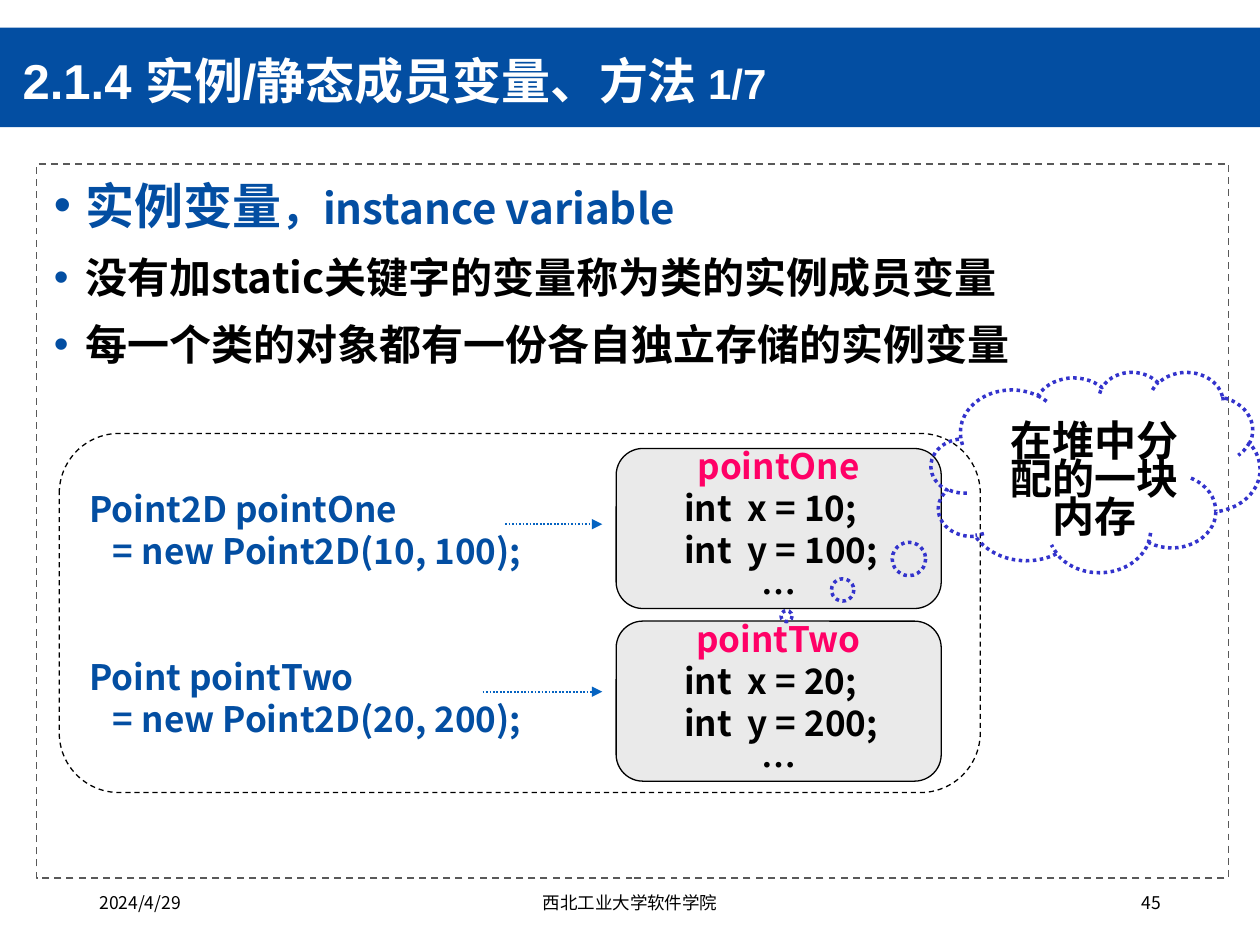
from lxml import etree
from pptx import Presentation
from pptx.dml.color import RGBColor
from pptx.enum.dml import MSO_LINE
from pptx.enum.shapes import MSO_CONNECTOR, MSO_SHAPE
from pptx.enum.text import MSO_ANCHOR, PP_ALIGN
from pptx.oxml.ns import qn
from pptx.util import Inches, Pt

LEFT, CENTER, RIGHT = PP_ALIGN.LEFT, PP_ALIGN.CENTER, PP_ALIGN.RIGHT
TOP, MIDDLE = MSO_ANCHOR.TOP, MSO_ANCHOR.MIDDLE
DASH, DOTS = MSO_LINE.DASH, MSO_LINE.ROUND_DOT
RECTANGLE, CLOUD = MSO_SHAPE.RECTANGLE, MSO_SHAPE.CLOUD_CALLOUT
ROUNDED = MSO_SHAPE.FLOWCHART_ALTERNATE_PROCESS
STRAIGHT = MSO_CONNECTOR.STRAIGHT

FONT = "Noto Sans CJK SC"
BLUE, BLACK, PINK, WHITE = "034EA2", "000000", "FF0066", "FFFFFF"

TITLE = [("2.1.4 实例/静态成员变量、方法 ", 28), ("1/7", 24)]
BULLETS = [
    ([("实例变量", 28), ("，instance variable", 24)], BLUE, 34),
    ([("没有加static关键字的变量称为类的实例成员变量", 24)], BLACK, 28.5),
    ([("每一个类的对象都有一份各自独立存储的实例变量", 24)], BLACK, 28.5),
]
STATEMENTS = [
    ("Point2D pointOne", "   = new Point2D(10, 100);"),
    ("Point pointTwo", "   = new Point2D(20, 200);"),
]
OBJECTS = [("pointOne", 10, 100), ("pointTwo", 20, 200)]
ARROWS = [(4.01, 4.16), (3.83, 5.49)]
ARROW_END = 4.78
CLOUD_TEXT = "在堆中分配的一块内存"
FOOTERS = [
    ("2024/4/29", 0.69, 2.25, LEFT),
    ("西北工业大学软件学院", 3.31, 3.38, CENTER),
    ("45", 7.06, 2.25, RIGHT),
]


def color(value):
    return RGBColor.from_string(value)


def set_line(line, value, width, dash=None):
    line.color.rgb = color(value)
    line.width = Pt(width)
    if dash:
        line.dash_style = dash


def add_box(page, kind, place, fill=None, line=None):
    box = page.shapes.add_shape(kind, *map(Inches, place))
    box.shadow.inherit = False
    if fill:
        box.fill.solid()
        box.fill.fore_color.rgb = color(fill)
    else:
        box.fill.background()
    if line:
        set_line(box.line, *line)
    else:
        box.line.fill.background()
    return box


def set_frame(box, anchor=TOP, insets=(0.1, 0.05, 0.1, 0.05)):
    frame = box.text_frame
    frame.word_wrap = True
    frame.vertical_anchor = anchor
    frame.margin_left, frame.margin_top, frame.margin_right, frame.margin_bottom = map(Inches, insets)
    return frame


def add_bullet(para):
    properties = para._p.get_or_add_pPr()
    properties.set("marL", str(Inches(0.25)))
    properties.set("indent", str(-Inches(0.25)))
    bullet_color = etree.SubElement(properties, qn("a:buClr"))
    etree.SubElement(bullet_color, qn("a:srgbClr"), val=BLUE)
    etree.SubElement(properties, qn("a:buFont"), typeface="Arial")
    etree.SubElement(properties, qn("a:buChar"), char="•")


def add_para(frame, spans, ink, align=LEFT, spacing=None, before=0, bold=True, face=FONT, bullet=False):
    first = not frame.paragraphs[0].runs
    para = frame.paragraphs[0] if first else frame.add_paragraph()
    if bullet:
        add_bullet(para)
    para.alignment = align
    if spacing:
        para.line_spacing = spacing
    if not first:
        para.space_before = Pt(before)
    para.font.size = Pt(spans[0][1])
    para.font.bold = bold
    para.font.color.rgb = color(ink)
    para.font.name = face
    etree.SubElement(para.font._element, qn("a:ea"), typeface=FONT)
    for text, size in spans:
        span = para.add_run()
        span.text = text
        if size != spans[0][1]:
            span.font.size = Pt(size)


def add_arrow(page, start, y):
    arrow = page.shapes.add_connector(STRAIGHT, *map(Inches, (start, y, ARROW_END, y)))
    set_line(arrow.line, "0563C1", 1, DOTS)
    etree.SubElement(arrow.line._get_or_add_ln(), qn("a:tailEnd"), type="triangle")
    etree.SubElement(arrow._element.spPr, qn("a:effectLst"))


def add_heading(page):
    add_box(page, RECTANGLE, (0, 0.22, 10, 0.79), BLUE)
    title = page.shapes.title
    title._element.getparent().append(title._element)
    title.left, title.top, title.width, title.height = map(Inches, (0.08, 0.33, 7.35, 0.66))
    add_para(set_frame(title, MIDDLE), TITLE, WHITE, spacing=0.9, face="Arial")


def add_body(page):
    add_box(page, RECTANGLE, (0.29, 1.3, 9.46, 5.67), line=("595959", 1, DASH))
    body = page.shapes.add_textbox(*map(Inches, (0.33, 1.34, 9.38, 2)))
    frame = set_frame(body)
    for spans, ink, spacing in BULLETS:
        add_para(frame, spans, ink, spacing=Pt(spacing), before=10, bullet=True)


def add_diagram(page):
    pitch = Pt(24)
    code = add_box(page, ROUNDED, (0.47, 3.44, 7.31, 2.85), line=(BLACK, 0.75, DASH))
    frame = set_frame(code, MIDDLE)
    for declaration, creation in STATEMENTS:
        add_para(frame, [(declaration, 20)], BLUE, spacing=pitch, before=48)
        add_para(frame, [(creation, 20)], BLUE, spacing=pitch)
    for index, (name, x, y) in enumerate(OBJECTS):
        place = (4.89, 3.56 + index * 1.37, 2.58, 1.27)
        frame = set_frame(add_box(page, ROUNDED, place, "EAEAEA", (BLACK, 0.75)), MIDDLE)
        add_para(frame, [(name, 20)], PINK, CENTER, pitch)
        for field, value in (("x", x), ("y", y)):
            add_para(frame, [(f"      int  {field} = {value};", 20)], BLACK, spacing=pitch)
        add_para(frame, [("…", 20)], BLACK, CENTER, pitch)
    for start, y in ARROWS:
        add_arrow(page, start, y)
    cloud = add_box(page, CLOUD, (7.39, 2.95, 2.61, 1.59), line=("3333CC", 2, DOTS))
    cloud.adjustments[0], cloud.adjustments[1] = -0.94, 0.72
    frame = set_frame(cloud, insets=(0.27, 0.2, 0.1, 0.05))
    add_para(frame, [(CLOUD_TEXT, 24)], BLACK, CENTER, Pt(21.7))


def add_footers(page):
    for text, left, width, align in FOOTERS:
        box = page.shapes.add_textbox(*map(Inches, (left, 7.03, width, 0.4)))
        add_para(set_frame(box), [(text, 10)], BLACK, align, bold=False)


def main():
    deck = Presentation()
    deck.slide_width, deck.slide_height = Inches(10), Inches(7.5)
    page = deck.slides.add_slide(deck.slide_layouts[5])
    add_heading(page)
    add_body(page)
    add_diagram(page)
    add_footers(page)
    deck.save("out.pptx")


if __name__ == "__main__":
    main()
